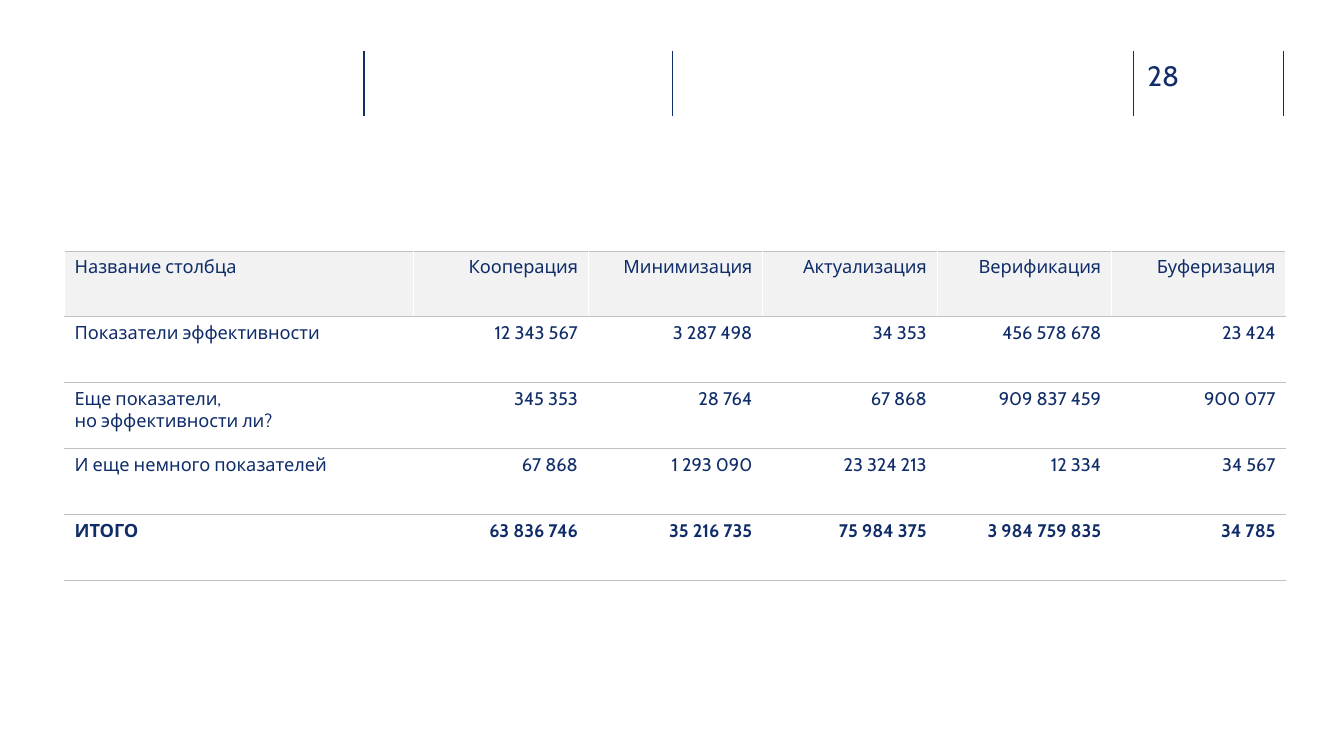
from lxml import etree
from pptx import Presentation
from pptx import util as u
from pptx.dml.color import RGBColor
from pptx.enum import shapes, text
from pptx.oxml.ns import qn

NAVY = RGBColor(0x10, 0x2D, 0x69)
GREY = RGBColor(0xBF, 0xBF, 0xBF)
PALE = RGBColor(0xF2, 0xF2, 0xF2)
WHITE = RGBColor(0xFF, 0xFF, 0xFF)

ROWS = [
    ["Название столбца", "Кооперация", "Минимизация", "Актуализация", "Верификация", "Буферизация"],
    ["Показатели эффективности", "12 343 567", "3 287 498", "34 353", "456 578 678", "23 424"],
    ["Еще показатели,\vно эффективности ли?", "345 353", "28 764", "67 868", "909 837 459", "900 077"],
    ["И еще немного показателей", "67 868", "1 293 090", "23 324 213", "12 334", "34 567"],
    ["ИТОГО", "63 836 746", "35 216 735", "75 984 375", "3 984 759 835", "34 785"],
]
COLUMN_WIDTHS = [3.46] + [1.73] * 5
ROW_HEIGHT = 3.27 / len(ROWS)
BORDERS = {"lnL": (WHITE, 0.25), "lnR": (WHITE, 0.25), "lnT": (GREY, 0.75), "lnB": (GREY, 0.75)}


class SlideBuilder:
    font_name = "Cabin"

    def __init__(self, slide):
        self.slide = slide

    def style(self, paragraph, size, bold=False):
        font = paragraph.font
        font.name, font.size, font.bold = self.font_name, u.Pt(size), bold
        font.color.rgb = NAVY

    def divider(self, x, top, bottom):
        line = self.slide.shapes.add_connector(
            shapes.MSO_CONNECTOR.STRAIGHT,
            u.Inches(x), u.Inches(top), u.Inches(x), u.Inches(bottom))
        line.line.color.rgb = NAVY
        line.line.width = u.Pt(1)
        etree.SubElement(line._element.spPr, qn("a:effectLst"))

    def label(self, wording, left, top, width, height, size):
        box = self.slide.shapes.add_textbox(*map(u.Inches, (left, top, width, height)))
        frame = box.text_frame
        frame.word_wrap = True
        frame.margin_left = frame.margin_right = frame.margin_top = frame.margin_bottom = 0
        frame.text = wording
        self.style(frame.paragraphs[0], size)

    def border(self, cell):
        properties = cell._tc.get_or_add_tcPr()
        for side, (color, width) in BORDERS.items():
            line = etree.SubElement(properties, qn(f"a:{side}"), w=str(u.Pt(width)))
            fill = etree.SubElement(line, qn("a:solidFill"))
            etree.SubElement(fill, qn("a:srgbClr"), val=str(color))

    def table(self, rows, left, top, widths, row_height, size):
        frame = self.slide.shapes.add_table(
            len(rows), len(widths), u.Inches(left), u.Inches(top),
            u.Inches(sum(widths)), u.Inches(row_height * len(rows)))
        table = frame.table
        table.first_row = table.horz_banding = False
        for column, width in zip(table.columns, widths):
            column.width = u.Inches(width)
        for row_index, values in enumerate(rows):
            table.rows[row_index].height = u.Inches(row_height)
            for column_index, value in enumerate(values):
                cell = table.cell(row_index, column_index)
                self.border(cell)
                if row_index == 0:
                    cell.fill.solid()
                    cell.fill.fore_color.rgb = PALE
                else:
                    cell.fill.background()
                cell.text = value
                paragraph = cell.text_frame.paragraphs[0]
                paragraph.alignment = text.PP_ALIGN.RIGHT if column_index else text.PP_ALIGN.LEFT
                self.style(paragraph, size, bold=row_index == len(rows) - 1)


def main():
    presentation = Presentation()
    presentation.slide_width = u.Inches(13.33)
    presentation.slide_height = u.Inches(7.5)
    builder = SlideBuilder(presentation.slides.add_slide(presentation.slide_layouts[6]))
    for x in (3.61, 6.67, 11.24, 12.73):
        builder.divider(x, 0.51, 1.15)
    builder.label("28", 11.38, 0.58, 0.73, 0.34, 20)
    builder.table(ROWS, 0.64, 2.49, COLUMN_WIDTHS, ROW_HEIGHT, 13)
    presentation.save("out.pptx")


if __name__ == "__main__":
    main()
